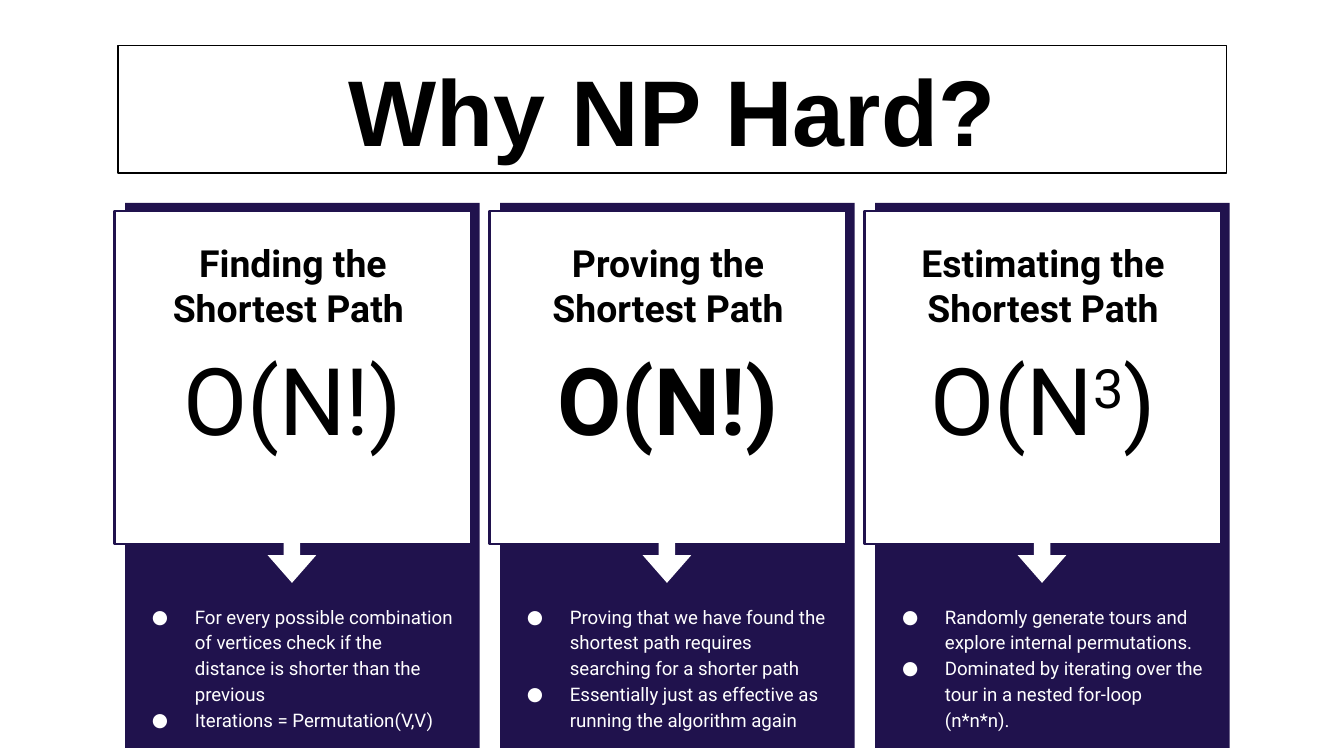
import pptx
import pptx.dml.color
import pptx.enum.shapes
import pptx.enum.text
import pptx.oxml
import pptx.oxml.ns
import pptx.util

Pt = pptx.util.Pt
SHAPE = pptx.enum.shapes.MSO_SHAPE
ALIGN = pptx.enum.text.PP_ALIGN
ANCHOR = pptx.enum.text.MSO_ANCHOR

NAVY, WHITE, BLACK = "20124D", "FFFFFF", "000000"
CARD_LEFT, CARD_PITCH = 61.2, 200.9

# Heading, complexity spans (text, superscript), bold complexity, bullet points
CARDS = [
    ("Finding the Shortest Path ", [("O(N!)", False)], False,
     ["For every possible combination of vertices check if the distance "
      "is shorter than the previous",
      "Iterations = Permutation(V,V)"]),
    ("Proving the Shortest Path", [("O(N!)", False)], True,
     ["Proving that we have found the shortest path requires searching "
      "for a shorter path",
      "Essentially just as effective as running the algorithm again"]),
    ("Estimating the Shortest Path",
     [("O(N", False), ("3", True), (")", False)], False,
     ["Randomly generate tours and explore internal permutations.",
      "Dominated by iterating over the tour in a nested for-loop (n*n*n)."]),
]


def color(value):
    return pptx.dml.color.RGBColor.from_string(value)


def add_span(para, text, *, size, font="Roboto", fill=BLACK, bold=False,
             superscript=False):
    span = para.add_run()
    span.text = text
    span.font.name = font
    span.font.size = Pt(size)
    span.font.bold = bold
    span.font.color.rgb = color(fill)
    if superscript:
        span.font._element.set("baseline", "30000")


def add_bullet(para, fill):
    properties = para._p.get_or_add_pPr()
    properties.set("marL", str(Pt(36)))
    properties.set("indent", str(Pt(-23)))
    namespace = pptx.oxml.ns.nsdecls("a")
    for xml in (f'<a:buClr {namespace}><a:srgbClr val="{fill}"/></a:buClr>',
                f'<a:buFont {namespace} typeface="Roboto"/>',
                f'<a:buChar {namespace} char="●"/>'):
        properties.append(pptx.oxml.parse_xml(xml))


class SlideBuilder:
    def __init__(self, page):
        self.page = page

    def place(self, box, left, top, width, height):
        box.left, box.top = Pt(left), Pt(top)
        box.width, box.height = Pt(width), Pt(height)

    def paint(self, box, fill, line=None, weight=1.5):
        box.fill.solid()
        box.fill.fore_color.rgb = color(fill)
        if line:
            box.line.color.rgb = color(line)
            box.line.width = Pt(weight)
        else:
            box.line.fill.background()

    def frame(self, box, anchor=ANCHOR.TOP):
        frame = box.text_frame
        frame.word_wrap = True
        frame.auto_size = pptx.enum.text.MSO_AUTO_SIZE.NONE
        frame.vertical_anchor = anchor
        frame.margin_left = frame.margin_right = Pt(7.2)
        frame.margin_top = frame.margin_bottom = Pt(7.2)
        return frame

    def title(self, text, bounds):
        box = self.page.shapes.title
        self.place(box, *bounds)
        self.paint(box, WHITE, BLACK, 0.75)
        para = self.frame(box, ANCHOR.MIDDLE).paragraphs[0]
        para.alignment = ALIGN.CENTER
        add_span(para, text, size=50, font="Arial", bold=True)

    def shape(self, kind, bounds, fill, line=None):
        box = self.page.shapes.add_shape(kind, *map(Pt, bounds))
        box.shadow.inherit = False
        self.paint(box, fill, line)
        return box

    def arrow(self, bounds):
        box = self.shape(SHAPE.RIGHT_ARROW, bounds, WHITE)
        box.rotation = 90
        box.adjustments[0], box.adjustments[1] = 0.34, 0.57

    def label(self, bounds, spans, size, bold):
        box = self.page.shapes.add_textbox(*map(Pt, bounds))
        para = self.frame(box).paragraphs[0]
        para.alignment = ALIGN.CENTER
        for text, superscript in spans:
            add_span(para, text, size=size, bold=bold, superscript=superscript)

    def bullets(self, box, bounds, points):
        self.place(box, *bounds)
        # Bring the list in front of its card
        self.page.shapes._spTree.append(box._element)
        frame = self.frame(box)
        for number, point in enumerate(points):
            para = frame.add_paragraph() if number else frame.paragraphs[0]
            para.alignment = ALIGN.LEFT
            para.line_spacing = 1.15
            para.space_before = para.space_after = Pt(0)
            add_bullet(para, WHITE)
            add_span(para, point, size=10, fill=WHITE)


def main():
    deck = pptx.Presentation()
    deck.slide_width, deck.slide_height = Pt(720), Pt(405)

    # The Comparison layout has a title and four bodies; three are needed
    page = deck.slides.add_slide(deck.slide_layouts[4])
    bodies = [box for box in page.placeholders
              if box.placeholder_format.idx in (1, 2, 3, 4)]
    spare = bodies.pop()
    spare._element.getparent().remove(spare._element)

    builder = SlideBuilder(page)
    builder.title("Why NP Hard?", (63.2, 24.3, 594, 68.4))

    # Three cards at an equal pitch
    for column, (heading, formula, bold, points) in enumerate(CARDS):
        left = CARD_LEFT + column * CARD_PITCH
        builder.shape(SHAPE.RECTANGLE, (left + 5.8, 108.7, 190, 292), NAVY)
        builder.shape(SHAPE.RECTANGLE, (left, 113, 191.5, 178.5), WHITE, NAVY)
        builder.label((left + 10.8, 176.4, 170, 44), formula, 50, bold)
        builder.label((left + 10.8, 121.7, 170, 48), [(heading, False)], 20, True)
        builder.arrow((left + 81.2, 285.3, 28, 26))
        builder.bullets(bodies[column], (left, 315.4, 190, 78), points)

    deck.save("out.pptx")


if __name__ == "__main__":
    main()
